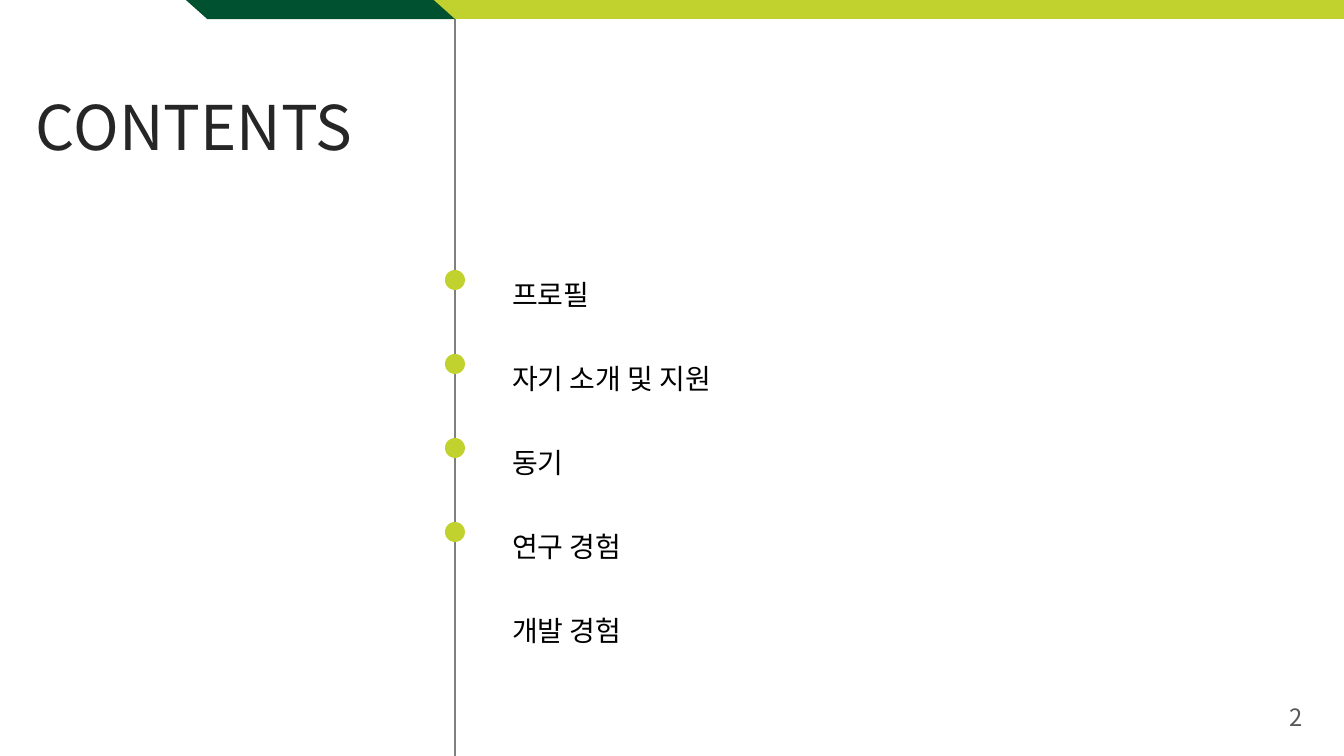
from lxml import etree
from pptx import Presentation
from pptx import util as u
from pptx.dml.color import RGBColor
from pptx.enum import shapes, text
from pptx.oxml.ns import qn

PX = 914400 / 100.8
FONT = "Noto Sans CJK KR"
LIME, GREEN, GRAY = "C1D22E", "005130", "808080"
W, H = 1344, 756
AXIS = 455
ITEMS = ["프로필", "자기 소개 및 지원 동기", "연구 경험", "개발 경험"]


def px(n):
    return u.Emu(round(n * PX))


def color(fmt, hex_code):
    fmt.rgb = RGBColor.from_string(hex_code)


def add_block(s, kind, box, fill):
    sp = s.shapes.add_shape(kind, *map(px, box))
    sp.shadow.inherit = False
    sp.fill.solid()
    color(sp.fill.fore_color, fill)
    sp.line.fill.background()
    return sp


def write(sp, box, lines, size, fill, spacing, align=text.PP_ALIGN.LEFT, inset=0, wrap=True):
    sp.left, sp.top, sp.width, sp.height = map(px, box)
    tf = sp.text_frame
    tf.auto_size = text.MSO_AUTO_SIZE.NONE
    tf.word_wrap = wrap
    tf.vertical_anchor = text.MSO_ANCHOR.TOP
    tf.margin_left = tf.margin_right = px(inset)
    tf.margin_top = tf.margin_bottom = px(inset // 2)
    for i, line in enumerate(lines):
        p = tf.add_paragraph() if i else tf.paragraphs[0]
        p.alignment = align
        p.line_spacing = u.Pt(spacing)
        p.space_before = p.space_after = u.Pt(0)
        pPr = p._p.get_or_add_pPr()
        pPr.set("marL", "0")
        pPr.set("indent", "0")
        etree.SubElement(pPr, qn("a:buNone"))
        r = p.add_run()
        r.text = line
        r.font.size = u.Pt(size)
        r.font.name = FONT
        color(r.font.color, fill)
        etree.SubElement(r._r.get_or_add_rPr(), qn("a:ea")).set("typeface", FONT)


def add_axis(s, x, top, height):
    line = s.shapes.add_connector(
        shapes.MSO_CONNECTOR.STRAIGHT, px(x), px(top), px(x), px(top + height))
    color(line.line.color, GRAY)
    line.line.width = u.Pt(1)
    etree.SubElement(line._element.spPr, qn("a:effectLst"))


def add_header(s, x, y, w, h):
    tab_left, tab_w, bar_left = 186, 269, 402
    add_block(s, shapes.MSO_SHAPE.RECTANGLE, (x + bar_left, y, w - bar_left, h), LIME)
    tab = add_block(s, shapes.MSO_SHAPE.PARALLELOGRAM, (x + tab_left, y, tab_w, h), GREEN)
    tab.adjustments[0] = 1.12
    tab._element.spPr.find(qn("a:xfrm")).set("flipH", "1")


def add_contents(s, x, y, w, h):
    dot, first, pitch = 20, 43, 84
    for i in range(len(ITEMS)):
        box = (AXIS - dot // 2, y + first + i * pitch, dot, dot)
        add_block(s, shapes.MSO_SHAPE.OVAL, box, LIME)
    write(s.placeholders[1], (x, y, w, h), ITEMS, 20, "000000", 60)


def add_page_number(s, box):
    sp = s.shapes.add_textbox(*map(px, box))
    write(sp, box, ["2"], 17, "595959", 22, text.PP_ALIGN.RIGHT, 10)


def main():
    prs = Presentation()
    prs.slide_width, prs.slide_height = px(W), px(H)
    s = prs.slides.add_slide(prs.slide_layouts[1])
    add_axis(s, AXIS, 0, H)
    write(s.shapes.title, (36, 83, 324, 75), ["CONTENTS"], 44, "262626", 57, wrap=False)
    add_header(s, 0, 0, W, 19)
    add_page_number(s, (1126, 695, 187, 39))
    add_contents(s, 512, 227, 252, 326)
    prs.save("out.pptx")


if __name__ == "__main__":
    main()
